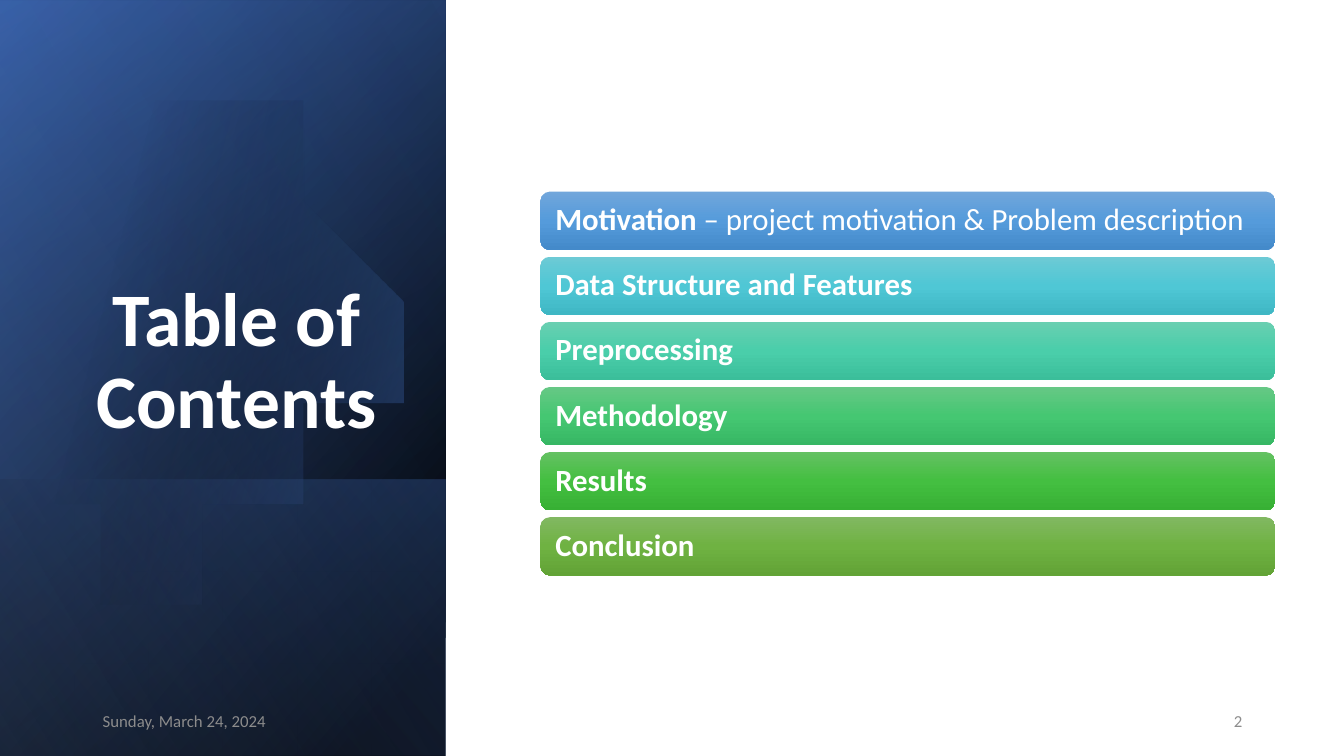
from pptx import Presentation
from pptx.dml.color import RGBColor
from pptx.enum.shapes import MSO_SHAPE
from pptx.enum.text import MSO_ANCHOR, MSO_AUTO_SIZE, PP_ALIGN
from pptx.oxml import parse_xml
from pptx.oxml.ns import nsdecls, qn
from pptx.util import Inches, Pt

RECT, ROUND = MSO_SHAPE.RECTANGLE, MSO_SHAPE.ROUNDED_RECTANGLE
LEFT, CENTER, RIGHT = PP_ALIGN.LEFT, PP_ALIGN.CENTER, PP_ALIGN.RIGHT
MIDDLE, BOTTOM = MSO_ANCHOR.MIDDLE, MSO_ANCHOR.BOTTOM
FIXED = MSO_AUTO_SIZE.NONE

WHITE = RGBColor(0xFF, 0xFF, 0xFF)
GRAY = RGBColor(0x8C, 0x8C, 0x8C)
BLACK = RGBColor(0x00, 0x00, 0x00)
NAVY = RGBColor(0x2F, 0x55, 0x97)
BLUE = RGBColor(0x44, 0x72, 0xC4)
PALE = RGBColor(0x8F, 0xAA, 0xDC)


def shade(shape, stops, angle):
    """Fill with a linear gradient of (position, colour, opacity) stops."""
    shape.shadow.inherit = False
    shape.line.fill.background()
    shape.fill.background()
    marks = "".join(
        f'<a:gs pos="{pos * 1000}"><a:srgbClr val="{color}">'
        f'<a:alpha val="{alpha * 1000}"/></a:srgbClr></a:gs>'
        for pos, color, alpha in stops)
    props = shape.element.spPr
    props.replace(props.find(qn("a:noFill")), parse_xml(
        f'<a:gradFill {nsdecls("a")} rotWithShape="1"><a:gsLst>{marks}</a:gsLst>'
        f'<a:lin ang="{angle * 60000}" scaled="0"/></a:gradFill>'))


def write(shape, text, size, color=WHITE, bold=False, align=LEFT,
          anchor=MIDDLE, inset=0.1, leading=1.0, after=0, tail=""):
    """Write one paragraph; tail follows the text in regular weight."""
    frame = shape.text_frame
    frame.word_wrap = True
    frame.auto_size = FIXED
    frame.vertical_anchor = anchor
    frame.margin_left = frame.margin_right = Inches(inset)
    frame.margin_top = frame.margin_bottom = Inches(0.05)
    para = frame.paragraphs[0]
    para.alignment = align
    para.line_spacing = leading
    para.space_before, para.space_after = Pt(0), Pt(after)
    for part, heavy in ((text, bold), (tail, False)):
        if part:
            run = para.add_run()
            run.text = part
            run.font.name = "Calibri"
            run.font.size = Pt(size)
            run.font.bold = heavy
            run.font.color.rgb = color


deck = Presentation()
deck.slide_width, deck.slide_height = Inches(13.33), Inches(7.5)
slide = deck.slides.add_slide(deck.slide_layouts[5])
shapes = slide.shapes

# Side panel: mirrored rectangles on their side, back to front
panels = [
    ((-1.54, 1.54, 7.5, 4.42), [(8, BLACK, 100), (100, NAVY, 100)], 50),
    ((-1.54, 1.55, 7.5, 4.42), [(0, BLACK, 0), (99, BLUE, 46)], 30),
    ((0.84, 3.92, 2.74, 4.42), [(2, BLUE, 29), (100, BLACK, 30)], 130),
    ((-1.54, 1.54, 7.5, 4.42), [(0, BLACK, 0), (99, PALE, 11)], 120),
]
for box, stops, angle in panels:
    panel = shapes.add_shape(RECT, *map(Inches, box))
    panel.rotation = 90
    panel.element.spPr.xfrm.set("flipH", "1")
    shade(panel, stops, angle)

# Clipped disc, under the topmost panel
start = (1.49, 1.1)
curves = [
    [(2.46, 1.12), (3.35, 1.77), (3.63, 2.75)],
    [(3.98, 3.97), (3.28, 5.23), (2.07, 5.58)],
    [(1.31, 5.8), (0.53, 5.61), (-0.03, 5.14)],
    [(-0.15, 5.03)],
    [(-0.15, 1.75)],
    [(0, 1.61)],
    [(0.23, 1.42), (0.5, 1.28), (0.8, 1.19)],
    [(1.03, 1.13), (1.26, 1.1), (1.49, 1.1)],
]
STEPS = 24
points = [start]
for curve in curves:
    if len(curve) == 1:
        points += curve
        continue
    knots = [points[-1]] + curve
    for step in range(1, STEPS + 1):
        t = step / STEPS
        mix = ((1 - t) ** 3, 3 * t * (1 - t) ** 2, 3 * t * t * (1 - t), t ** 3)
        points.append(tuple(sum(m * k[axis] for m, k in zip(mix, knots))
                            for axis in (0, 1)))
outline = shapes.build_freeform(*start, scale=Inches(1))
outline.add_line_segments(points[1:], close=True)
disc = outline.convert_to_shape()
shade(disc, [(29, BLACK, 0), (100, BLUE, 43)], 14)
panel.element.addprevious(disc.element)

# Title, brought in front of the panel
title = shapes.title
title.left, title.top = Inches(0.64), Inches(1.84)
title.width, title.height = Inches(3.41), Inches(2.62)
write(title, "Table of Contents", 54, bold=True, align=CENTER, anchor=BOTTOM,
      leading=0.9, after=8)
panel.element.addnext(title.element)

# Contents bars
topics = [
    ("Motivation ", "– project motivation & Problem description",
     ("71A6DB", "559BDB", "448ACA")),
    ("Data Structure and Features", "", ("6DCAD5", "4FC7D5", "3FB7C4")),
    ("Preprocessing", "", ("69CFB1", "4ACEAA", "3BBE9A")),
    ("Methodology", "", ("66C885", "45C772", "37B764")),
    ("Results", "", ("64C162", "44BF41", "37B034")),
    ("Conclusion", "", ("81B861", "6FB242", "62A336")),
]
FIRST, LAST = 1.9, 5.13
pitch = (LAST - FIRST) / (len(topics) - 1)
for row, (topic, detail, tones) in enumerate(topics):
    bar = shapes.add_shape(ROUND, Inches(5.36), Inches(FIRST + row * pitch),
                           Inches(7.29), Inches(0.58))
    tints = [RGBColor.from_string(tone) for tone in tones]
    shade(bar, list(zip((0, 50, 100), tints, (100, 100, 100))), 90)
    write(bar, topic, 22, bold=True, inset=0.12, leading=0.9, tail=detail)

# Footer
for left, text, align in ((0.92, "Sunday, March 24, 2024", LEFT),
                          (9.42, "2", RIGHT)):
    note = shapes.add_textbox(Inches(left), Inches(6.95), Inches(3), Inches(0.4))
    write(note, text, 12, color=GRAY, align=align)

deck.save("out.pptx")
